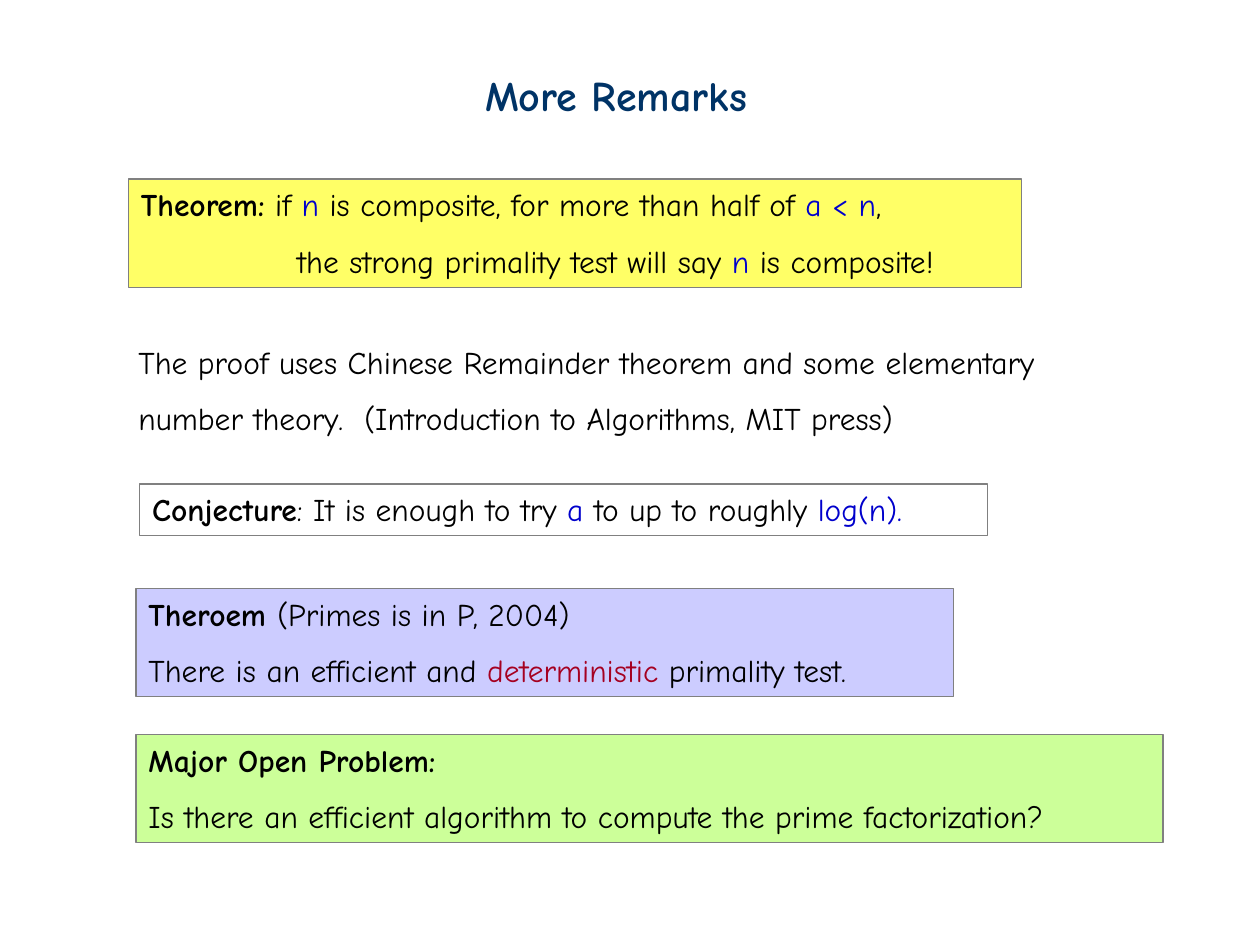
from pptx import Presentation
from pptx.dml.color import RGBColor
from pptx.enum.shapes import MSO_SHAPE
from pptx.enum.text import MSO_ANCHOR, MSO_AUTO_SIZE, PP_ALIGN
from pptx.util import Inches, Pt

FONT = "Comic Neue"
NAVY = RGBColor(0x00, 0x33, 0x66)
BLACK = RGBColor(0x00, 0x00, 0x00)
BLUE = RGBColor(0x00, 0x00, 0xCC)
RED = RGBColor(0xA5, 0x00, 0x21)
GRAY = RGBColor(0x80, 0x80, 0x80)
YELLOW = RGBColor(0xFF, 0xFF, 0x66)
LAVENDER = RGBColor(0xCC, 0xCC, 0xFF)
GREEN = RGBColor(0xCC, 0xFF, 0x99)


def set_font(font, size, color, bold=False):
    """Apply the slide's typeface with a size, colour and weight."""
    font.name = FONT
    font.size = Pt(size)
    font.bold = bold
    font.color.rgb = color


def prepare_frame(shape):
    """Anchor wrapped text at the top of a shape and return its frame."""
    frame = shape.text_frame
    frame.word_wrap = True
    frame.auto_size = MSO_AUTO_SIZE.NONE
    frame.vertical_anchor = MSO_ANCHOR.TOP
    return frame


def add_title(slide, text):
    """Place and format the slide title."""
    title = slide.shapes.title
    title.left, title.top = Inches(3.75), Inches(0.5)
    title.width, title.height = Inches(2.51), Inches(0.5)
    frame = prepare_frame(title)
    frame.text = text
    paragraph = frame.paragraphs[0]
    paragraph.alignment = PP_ALIGN.LEFT
    set_font(paragraph.font, 24, NAVY, bold=True)


def write_lines(shape, lines):
    """Write lines of (text, colour, bold) runs, spacing the later ones."""
    frame = prepare_frame(shape)
    for index, line in enumerate(lines):
        paragraph = frame.paragraphs[0]
        if index:
            paragraph = frame.add_paragraph()
            paragraph.line_spacing = 1.5
        paragraph.alignment = PP_ALIGN.LEFT
        set_font(paragraph.font, 18, BLACK)
        for text, color, bold in line:
            run = paragraph.add_run()
            run.text = text
            if color != BLACK:
                run.font.color.rgb = color
            if bold:
                run.font.bold = True


def plain(text):
    """Describe a black run."""
    return text, BLACK, False


def strong(text):
    """Describe a bold black run."""
    return text, BLACK, True


def math(text):
    """Describe a blue run of mathematics."""
    return text, BLUE, False


def add_statement(slide, left, top, width, height, lines, fill=None):
    """Add an outlined box holding a statement."""
    box = slide.shapes.add_shape(
        MSO_SHAPE.RECTANGLE, Inches(left), Inches(top), Inches(width), Inches(height)
    )
    box.shadow.inherit = False
    box.line.color.rgb = GRAY
    box.line.width = Pt(0.75)
    if fill is None:
        box.fill.background()
    else:
        box.fill.solid()
        box.fill.fore_color.rgb = fill
    write_lines(box, lines)
    return box


def add_remark(slide, left, top, width, height, lines):
    """Add a text box without an outline."""
    box = slide.shapes.add_textbox(
        Inches(left), Inches(top), Inches(width), Inches(height)
    )
    write_lines(box, lines)


def indent(paragraph, distance):
    """Set the left margin of a paragraph."""
    properties = paragraph._p.get_or_add_pPr()
    properties.set("marL", str(distance))
    properties.set("indent", "0")


def main():
    """Build the slide and save it."""
    presentation = Presentation()
    presentation.slide_width = Inches(10)
    presentation.slide_height = Inches(7.5)
    slide = presentation.slides.add_slide(presentation.slide_layouts[5])

    add_title(slide, "More Remarks")
    theorem = add_statement(slide, 1.02, 1.42, 7.09, 0.86, [
        [strong("Theorem:"), plain(" if "), math("n"),
         plain(" is composite, for more than half of "), math("a < n"), plain(",")],
        [plain("the strong primality test will say "), math("n"),
         plain(" is composite!")],
    ], YELLOW)
    indent(theorem.text_frame.paragraphs[1], Inches(1.24))
    add_remark(slide, 1, 2.67, 7.86, 0.85, [
        [plain("The proof uses Chinese Remainder theorem and some elementary")],
        [plain("number theory.  (Introduction to Algorithms, MIT press)")],
    ])
    add_statement(slide, 1.11, 3.84, 6.73, 0.41, [
        [strong("Conjecture"), plain(": It is enough to try "), math("a"),
         plain(" to up to roughly "), math("log(n).")],
    ])
    add_statement(slide, 1.08, 4.67, 6.49, 0.86, [
        [strong("Theroem "), plain("(Primes is in P, 2004)")],
        [plain("There is an efficient and "), ("deterministic", RED, False),
         plain(" primality test.")],
    ], LAVENDER)
    add_statement(slide, 1.08, 5.83, 8.15, 0.86, [
        [strong("Major Open Problem:")],
        [plain("Is there an efficient algorithm to compute the prime factorization?")],
    ], GREEN)

    presentation.save("out.pptx")


if __name__ == "__main__":
    main()
